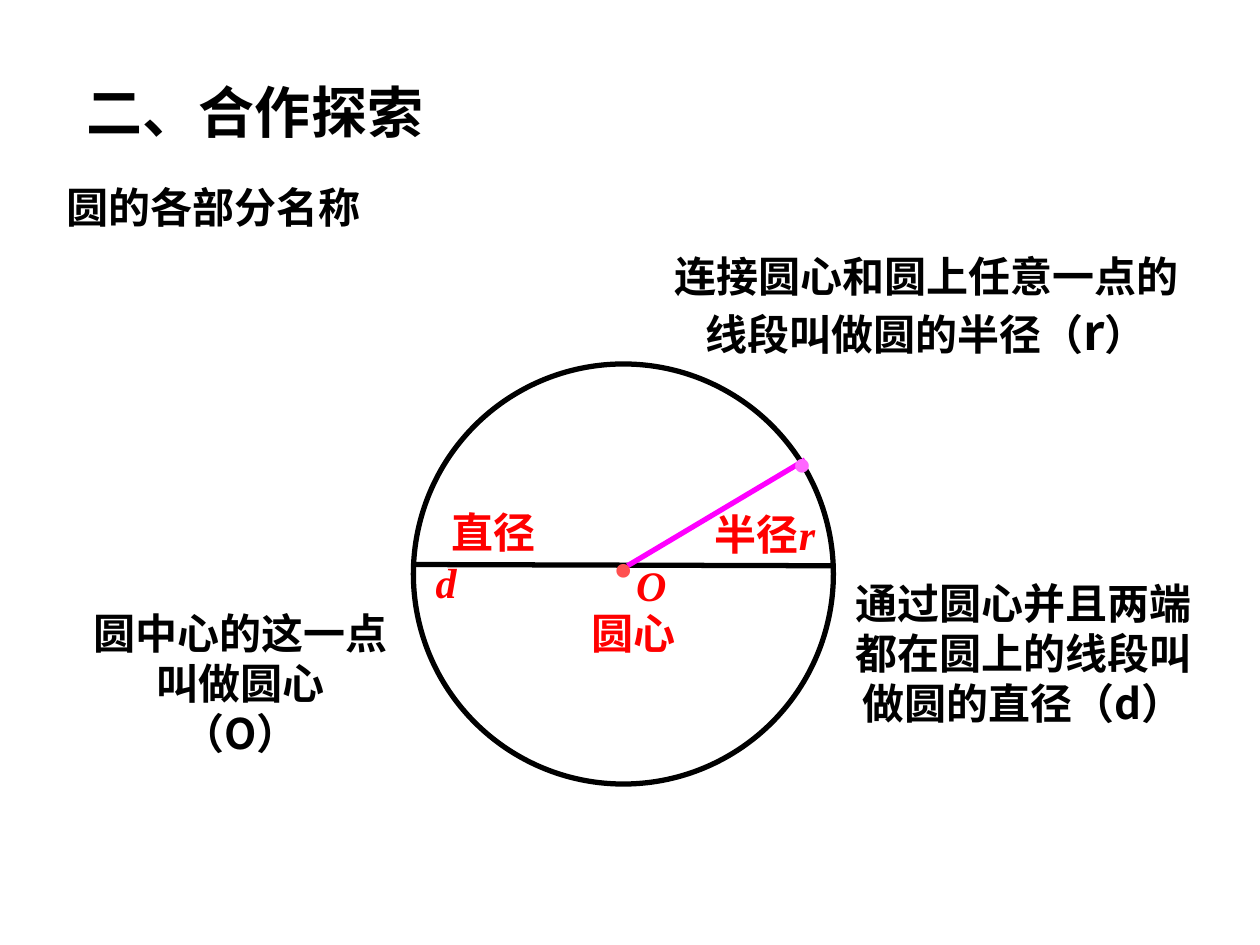
from pptx import Presentation
from pptx.dml.color import RGBColor
from pptx.enum.shapes import MSO_CONNECTOR, MSO_SHAPE
from pptx.enum.text import MSO_ANCHOR, MSO_AUTO_SIZE, PP_ALIGN
from pptx.oxml.ns import qn
from pptx.util import Pt
from lxml.etree import SubElement

HUES = {"ink": "000000", "red": "FF0000", "dot": "FF5050", "pink": "FF66FF", "ray": "FF00FF"}
SANS = "Noto Sans CJK SC"
ROMAN = "Times New Roman"


def color(name):
    return RGBColor.from_string(HUES[name])


def write(shape, text, size=24, font=SANS, hue="ink", bold=True, center=False,
          indent=0, slant="", large="", anchor=MSO_ANCHOR.TOP):
    frame = shape.text_frame
    frame.word_wrap = True
    frame.auto_size = MSO_AUTO_SIZE.NONE
    frame.vertical_anchor = anchor
    for row, line in enumerate(text.split("\n")):
        para = frame.add_paragraph() if row else frame.paragraphs[0]
        para.alignment = PP_ALIGN.CENTER if center else PP_ALIGN.LEFT
        para.space_before = Pt(0)
        if indent and row == 0:
            para._p.get_or_add_pPr().set("indent", str(Pt(indent)))
        mark = slant or large
        parts = line.partition(mark) if mark else [line]
        for part in filter(None, parts):
            run = para.add_run()
            run.text = part
            run.font.name = font
            run.font.size = Pt(28 if part == large else size)
            run.font.bold = bold
            run.font.italic = part == slant
            run.font.color.rgb = color(hue)
            SubElement(run._r.get_or_add_rPr(), qn("a:ea"), typeface=SANS)


deck = Presentation()
deck.slide_width, deck.slide_height = Pt(720), Pt(540)
slide = deck.slides.add_slide(deck.slide_layouts[5])
shapes = slide.shapes

title = shapes.title
title.left, title.top, title.width, title.height = Pt(42.5), Pt(42.5), Pt(255), Pt(42.5)
write(title, "二、合作探索", size=32, anchor=MSO_ANCHOR.MIDDLE)

ring = shapes.add_shape(MSO_SHAPE.OVAL, Pt(236.2), Pt(208), Pt(240), Pt(240))
ring.shadow.inherit = False
ring.fill.background()
ring.line.color.rgb = color("ink")
ring.line.width = Pt(3)

lines = [
    (475.9, 323.3, 236.2, 322.6, "ink"),
    (358.6, 323.3, 460.1, 262.8, "ray"),
]
for *ends, hue in lines:
    line = shapes.add_connector(MSO_CONNECTOR.STRAIGHT, *map(Pt, ends))
    line.line.color.rgb = color(hue)
    line.line.width = Pt(3)
    SubElement(line._element.spPr, qn("a:effectLst"))

dot = dict(size=66, font=ROMAN, bold=False, center=True)
label = dict(font=ROMAN, hue="red")
notes = [
    (326.2, 278.6, 60, 86.4, "·", dict(dot, hue="dot")),
    (416.2, 218.9, 84.2, 86.4, "·", dict(dot, hue="pink")),
    (356.4, 316.1, 48, 36, "O", dict(label, slant="O")),
    (326.2, 343.4, 72, 36, "圆心", dict(label, center=True)),
    (392.4, 287.3, 90, 36, "半径r", dict(label, indent=9, slant="r")),
    (241.9, 285.8, 90, 64.8, "直径\nd", dict(label, indent=9, slant="d")),
    (45.4, 343.4, 184.3, 93.6, "圆中心的这一点\n叫做圆心\n（O）", dict(center=True)),
    (371.5, 139.7, 315.4, 69.8, "连接圆心和圆上任意一点的\n线段叫做圆的半径（r）",
     dict(center=True, large="r")),
    (472.3, 326.2, 224.6, 93.6, "通过圆心并且两端都在圆上的线段叫做圆的直径（d）", dict(center=True)),
    (31, 100.1, 357.1, 36, "圆的各部分名称", dict(font="Arial")),
]
for *place, text, style in notes:
    write(shapes.add_textbox(*map(Pt, place)), text, **style)

deck.save("out.pptx")
